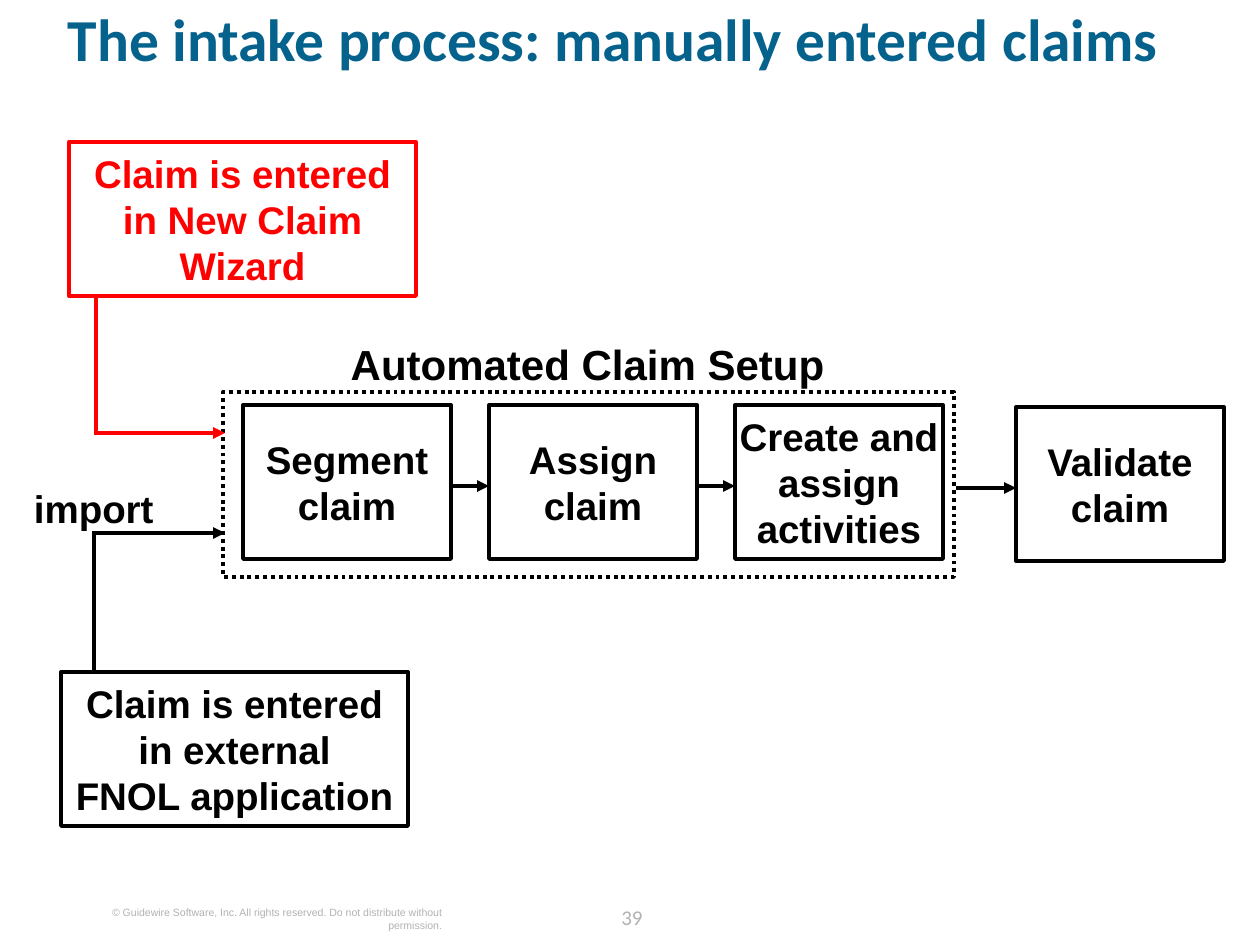
from dataclasses import dataclass

from lxml import etree
from pptx import Presentation
from pptx.dml.color import RGBColor
from pptx.enum.dml import MSO_LINE
from pptx.enum.shapes import MSO_CONNECTOR, MSO_SHAPE
from pptx.enum.text import MSO_ANCHOR, PP_ALIGN
from pptx.oxml.ns import qn
from pptx.util import Emu, Pt

LEFT, CENTER, RIGHT = PP_ALIGN.LEFT, PP_ALIGN.CENTER, PP_ALIGN.RIGHT
TOP, MIDDLE = MSO_ANCHOR.TOP, MSO_ANCHOR.MIDDLE
RECT, STRAIGHT = MSO_SHAPE.RECTANGLE, MSO_CONNECTOR.STRAIGHT
DOTTED = MSO_LINE.ROUND_DOT
PX_PER_INCH = 126


@dataclass(frozen=True)
class Theme:
    title: str = "04628C"
    ink: str = "000000"
    accent: str = "FF0000"
    paper: str = "FFFFFF"
    muted: str = "B2B2B2"
    heading_font: str = "Calibri"
    body_font: str = "Arial"
    title_size: int = 34
    group_size: int = 24
    label_size: int = 22
    number_size: int = 12
    copyright_size: int = 6
    stroke: float = 2.25


T = Theme()


def px(n):
    return Emu(round(n * 914400 / PX_PER_INCH))


def rgb(color):
    return RGBColor.from_string(color)


def write(sp, text, size=T.label_size, color=T.ink, font=T.body_font,
          bold=True, align=CENTER, anchor=TOP, inset=0, spacing=None):
    tf = sp.text_frame
    tf.word_wrap = True
    tf.vertical_anchor = anchor
    tf.margin_left = tf.margin_right = px(inset)
    tf.margin_top = tf.margin_bottom = 0
    p = tf.paragraphs[0]
    p.text = text
    p.alignment = align
    if spacing:
        p.line_spacing = spacing
    for r in p.runs:
        r.font.name = font
        r.font.size = Pt(size)
        r.font.bold = bold
        r.font.color.rgb = rgb(color)


def add_text(s, box, text, **fmt):
    write(s.shapes.add_textbox(*map(px, box)), text, **fmt)


def add_box(s, box, color=T.ink, fill=T.paper, dash=None):
    sp = s.shapes.add_shape(RECT, *map(px, box))
    sp.shadow.inherit = False
    if fill:
        sp.fill.solid()
        sp.fill.fore_color.rgb = rgb(fill)
    else:
        sp.fill.background()
    sp.line.color.rgb = rgb(color)
    sp.line.width = Pt(T.stroke)
    if dash:
        sp.line.dash_style = dash
    return sp


def add_line(s, x1, y1, x2, y2, color=T.ink, arrow=True):
    cx = s.shapes.add_connector(STRAIGHT, *map(px, (x1, y1, x2, y2)))
    cx.line.color.rgb = rgb(color)
    cx.line.width = Pt(T.stroke)
    if arrow:
        etree.SubElement(cx.line._get_or_add_ln(), qn("a:tailEnd"), type="triangle")
    etree.SubElement(cx._element.spPr, qn("a:effectLst"))


def add_step(s, box, text):
    write(add_box(s, box), text, anchor=MIDDLE)


def add_entry(s, box, text, bend, end, color=T.ink):
    x, y, w, h = box
    sp = add_box(s, box, color)
    write(sp, text, color=color, anchor=MIDDLE, inset=13)
    stem = x + bend
    start = y + h if end > y else y
    add_line(s, stem, start, stem, end, color, arrow=False)
    add_line(s, stem - 2, end, 225, end, color)


def add_setup(s, box, steps):
    x, y, w, h = box
    add_box(s, box, fill=None, dash=DOTTED)
    add_text(s, (x + 89, y - 53, 551, 50), "Automated Claim Setup", size=T.group_size)
    step_w, pitch = 208, 246
    for i, text in enumerate(steps):
        left = x + 20 + i * pitch
        add_step(s, (left, y + 13, step_w, 154), text)
        if i:
            add_line(s, left - pitch + step_w, y + 94, left, y + 94)


def add_validation(s, box, start):
    x, y, w, h = box
    add_step(s, box, "Validate\vclaim")
    add_line(s, start, y + 81, x, y + 81)


def add_footer(s, box):
    x, y, w, h = box
    add_text(s, (x, y + 8, 365, 26),
             "© Guidewire Software, Inc. All rights reserved. "
             "Do not distribute without permission.",
             size=T.copyright_size, color=T.muted, bold=False, align=RIGHT)
    add_text(s, (x + 519, y, 72, h), "39", size=T.number_size, color=T.muted,
             font=T.heading_font, bold=False, spacing=Pt(18))


def main():
    prs = Presentation()
    prs.slide_width, prs.slide_height = px(1260), px(945)
    s = prs.slides.add_slide(prs.slide_layouts[6])
    add_text(s, (68, 16, 1147, 102), "The intake process: manually entered claims",
             size=T.title_size, color=T.title, font=T.heading_font,
             align=LEFT, spacing=0.8)
    add_setup(s, (223, 392, 731, 185),
              ["Segment\vclaim", "Assign\vclaim", "Create and assign activities"])
    add_validation(s, (1016, 407, 208, 154), 956)
    add_entry(s, (69, 142, 347, 154), "Claim is entered in New Claim Wizard",
              27, 433, T.accent)
    add_entry(s, (61, 672, 347, 154),
              "Claim is entered in external\vFNOL application", 33, 533)
    add_text(s, (34, 485, 135, 47), "import", align=LEFT)
    add_footer(s, (77, 898, 591, 32))
    prs.save("out.pptx")


if __name__ == "__main__":
    main()
